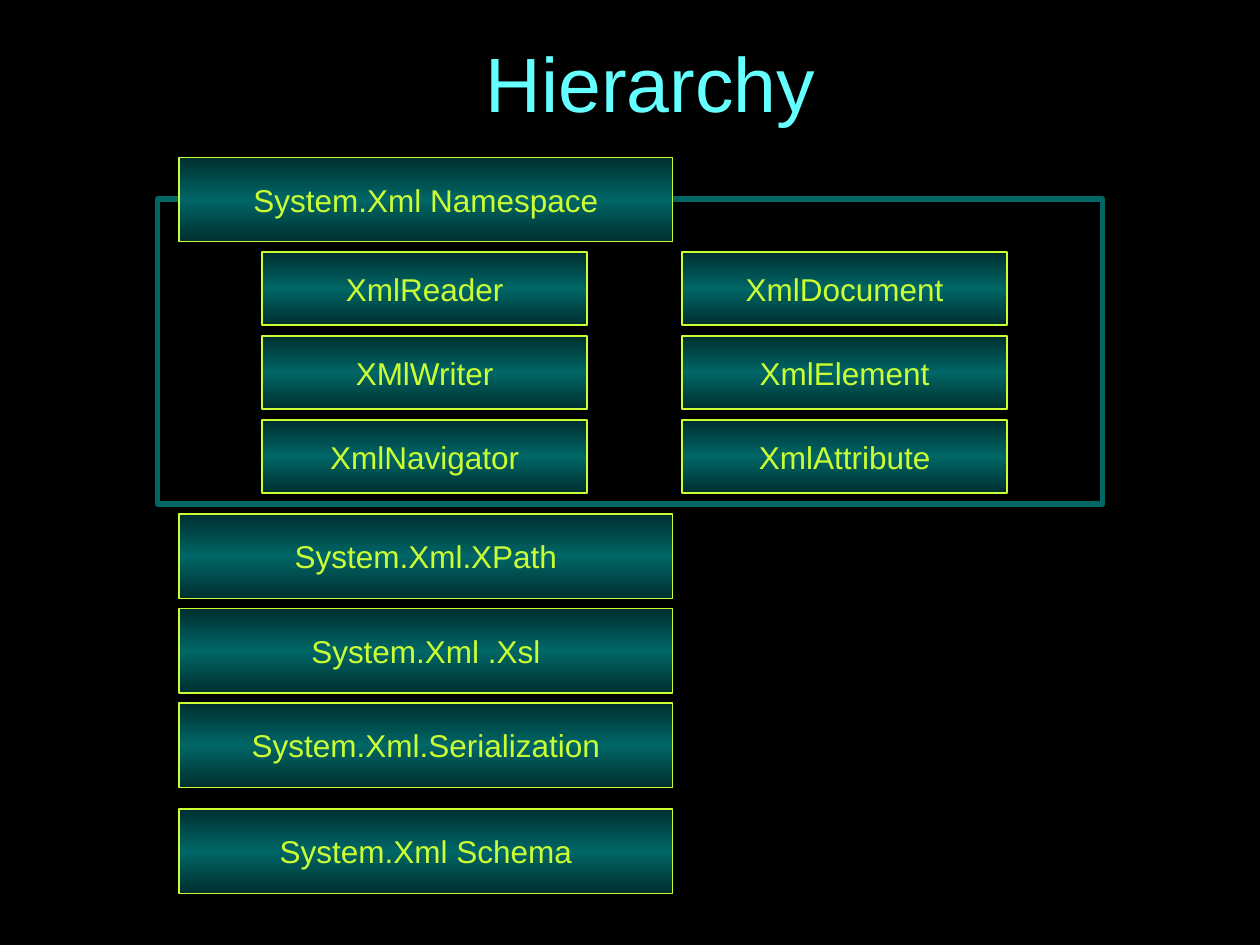
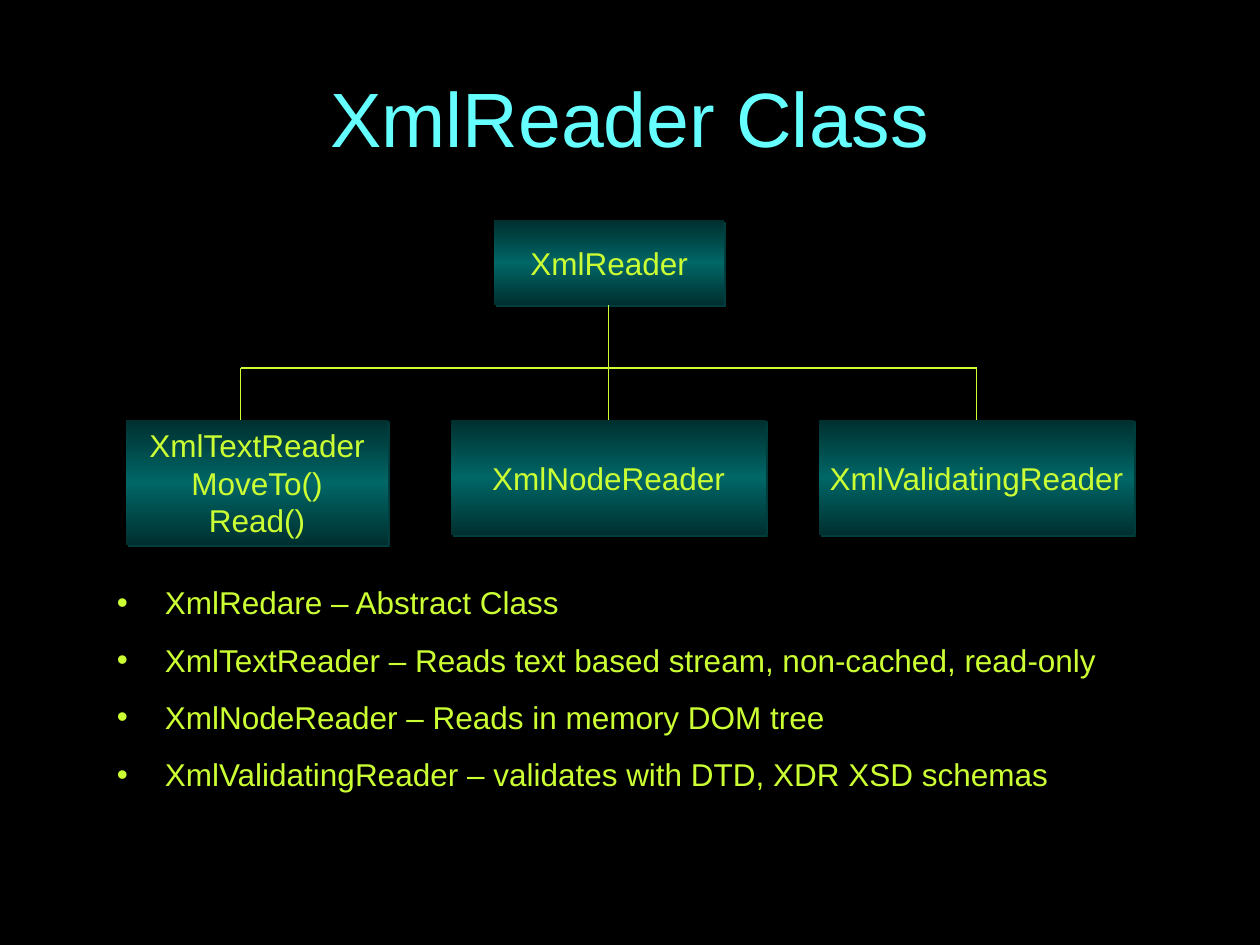
from copy import deepcopy

from pptx import Presentation
from pptx.dml.color import RGBColor
from pptx.enum import shapes, text
from pptx.oxml.ns import qn
from pptx.oxml.xmlchemy import OxmlElement
from pptx.util import Inches, Pt

FONT = "Arial"
BLACK, CYAN, LIME = "000000", "66FFFF", "CCFF33"
TEAL, DARK_TEAL, SHADOW_TEAL = "006666", "002F2F", "003D3D"

HIERARCHY_TITLE = ("Hierarchy", (0.33, 0.3, 9.67, 0.7))
NAMESPACES = [
    ("System.Xml Namespace", 1.25),
    ("System.Xml.XPath", 4.08),
    ("System.Xml .Xsl", 4.83),
    ("System.Xml.Serialization", 5.58),
    ("System.Xml Schema", 6.42),
]
CLASS_COLUMNS = [
    ["XmlReader", "XMlWriter", "XmlNavigator"],
    ["XmlDocument", "XmlElement", "XmlAttribute"],
]
READER_TITLE = ("XmlReader Class", (0.5, 0.3, 9, 1.25))
BASE_READER = ("XmlReader", (3.92, 1.75, 1.83, 0.67))
DERIVED_READERS = [
    ("XmlTextReader\nMoveTo()\nRead()", (1, 3.33, 2.08, 1)),
    ("XmlNodeReader", (3.58, 3.33, 2.5, 0.92)),
    ("XmlValidatingReader", (6.5, 3.33, 2.5, 0.92)),
]
READER_NOTES = [
    "XmlRedare – Abstract Class",
    "XmlTextReader – Reads text based stream, non-cached, read-only",
    "XmlNodeReader – Reads in memory DOM tree",
    "XmlValidatingReader – validates with DTD, XDR XSD schemas",
]


def rgb(value):
    return RGBColor.from_string(value)


def inches(values):
    return [Inches(value) for value in values]


def child(parent, tag, **attributes):
    element = OxmlElement(tag)
    for key, value in attributes.items():
        element.set(key, str(value))
    parent.append(element)
    return element


def style_text(frame, size, color, align):
    for paragraph in frame.paragraphs:
        paragraph.alignment = align
        for run in paragraph.runs:
            run.font.name = FONT
            run.font.size = Pt(size)
            run.font.color.rgb = rgb(color)


def add_title(slide, title):
    words, place = title
    frame = slide.shapes.add_textbox(*inches(place)).text_frame
    frame.word_wrap = True
    frame.vertical_anchor = text.MSO_ANCHOR.MIDDLE
    frame.text = words
    style_text(frame, 44, CYAN, text.PP_ALIGN.CENTER)


def add_rectangle(slide, place):
    rectangle = slide.shapes.add_shape(shapes.MSO_SHAPE.RECTANGLE, *inches(place))
    rectangle.shadow.inherit = False
    return rectangle


def add_class_box(slide, label, place, outlined):
    box = add_rectangle(slide, place)
    box.fill.gradient()
    box.fill.gradient_angle = 90
    stop_list = box._element.spPr.find(".//" + qn("a:gsLst"))
    stop_list.append(deepcopy(stop_list[0]))
    bands = [(0, DARK_TEAL), (0.5, TEAL), (1, DARK_TEAL)]
    for stop, (position, color) in zip(box.fill.gradient_stops, bands):
        stop.position = position
        stop.color.rgb = rgb(color)
    if outlined:
        box.line.color.rgb = rgb(LIME)
        box.line.width = Pt(0.75)
    else:
        box.line.fill.background()
        effects = box._element.spPr.find(qn("a:effectLst"))
        shadow = child(effects, "a:outerShdw", dist=Pt(1.4), dir=45 * 60000,
                       algn="ctr", rotWithShape=0)
        child(shadow, "a:srgbClr", val=SHADOW_TEAL)
    frame = box.text_frame
    frame.word_wrap = False
    frame.vertical_anchor = text.MSO_ANCHOR.MIDDLE
    frame.text = label
    style_text(frame, 18, LIME, text.PP_ALIGN.CENTER)


def add_branch(slide, *ends):
    branch = slide.shapes.add_connector(shapes.MSO_CONNECTOR.STRAIGHT, *inches(ends))
    branch.line.color.rgb = rgb(LIME)
    branch.line.width = Pt(0.75)
    child(branch._element.spPr, "a:effectLst")


def add_notes_list(slide, notes, place):
    frame = slide.shapes.add_textbox(*inches(place)).text_frame
    frame.word_wrap = True
    frame.text = "\n".join(notes)
    for index, paragraph in enumerate(frame.paragraphs):
        properties = paragraph._p.get_or_add_pPr()
        properties.set("marL", str(Inches(0.38)))
        properties.set("indent", str(-Inches(0.38)))
        bullet_color = child(properties, "a:buClr")
        child(bullet_color, "a:srgbClr", val=LIME)
        child(properties, "a:buFont", typeface=FONT)
        child(properties, "a:buChar", char="•")
        if index:
            paragraph.space_before = Pt(11.2)
    style_text(frame, 18, LIME, text.PP_ALIGN.LEFT)


def build_hierarchy(slide):
    add_title(slide, HIERARCHY_TITLE)
    namespace_frame = add_rectangle(slide, (1.25, 1.58, 7.5, 2.42))
    namespace_frame.fill.background()
    namespace_frame.line.color.rgb = rgb(TEAL)
    namespace_frame.line.width = Pt(3)
    for column, names in enumerate(CLASS_COLUMNS):
        for row, name in enumerate(names):
            place = (2.08 + column * 10 / 3, 2 + row * 2 / 3, 2.58, 0.58)
            add_class_box(slide, name, place, outlined=True)
    for name, top in NAMESPACES:
        add_class_box(slide, name, (1.42, top, 3.92, 0.67), outlined=True)


def build_reader(slide):
    add_title(slide, READER_TITLE)
    add_notes_list(slide, READER_NOTES, (0.83, 4.58, 8.42, 2.23))
    for label, place in [BASE_READER, *DERIVED_READERS]:
        add_class_box(slide, label, place, outlined=False)
    center, spread = 4.83, 2.92
    base_bottom, bus, derived_top = 2.42, 2.92, 3.33
    add_branch(slide, center, base_bottom, center, bus)
    add_branch(slide, center - spread, bus, center + spread, bus)
    for x in (center - spread, center, center + spread):
        add_branch(slide, x, bus, x, derived_top)


def main():
    deck = Presentation()
    deck.slide_width, deck.slide_height = Inches(10), Inches(7.5)
    backdrop = deck.slide_master.background.fill
    backdrop.solid()
    backdrop.fore_color.rgb = rgb(BLACK)
    for build in (build_hierarchy, build_reader):
        build(deck.slides.add_slide(deck.slide_layouts[6]))
    deck.save("out.pptx")


if __name__ == "__main__":
    main()
